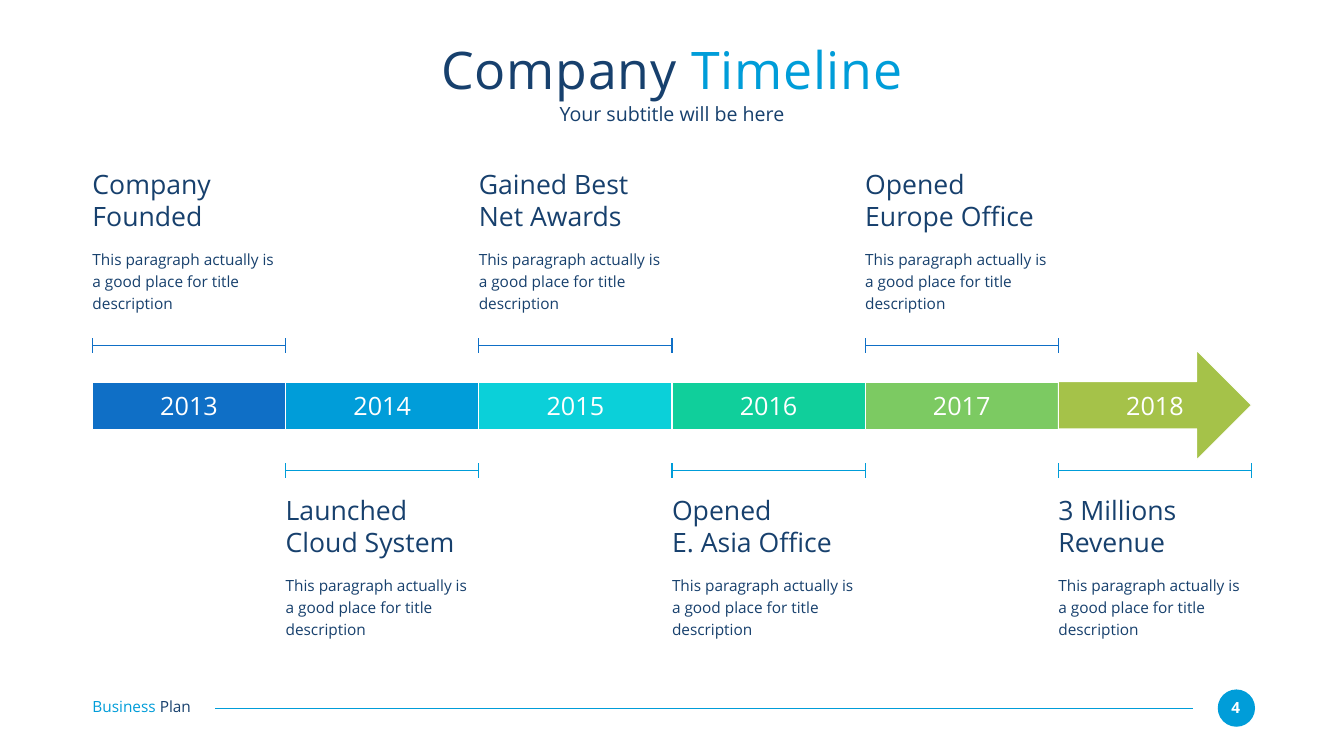
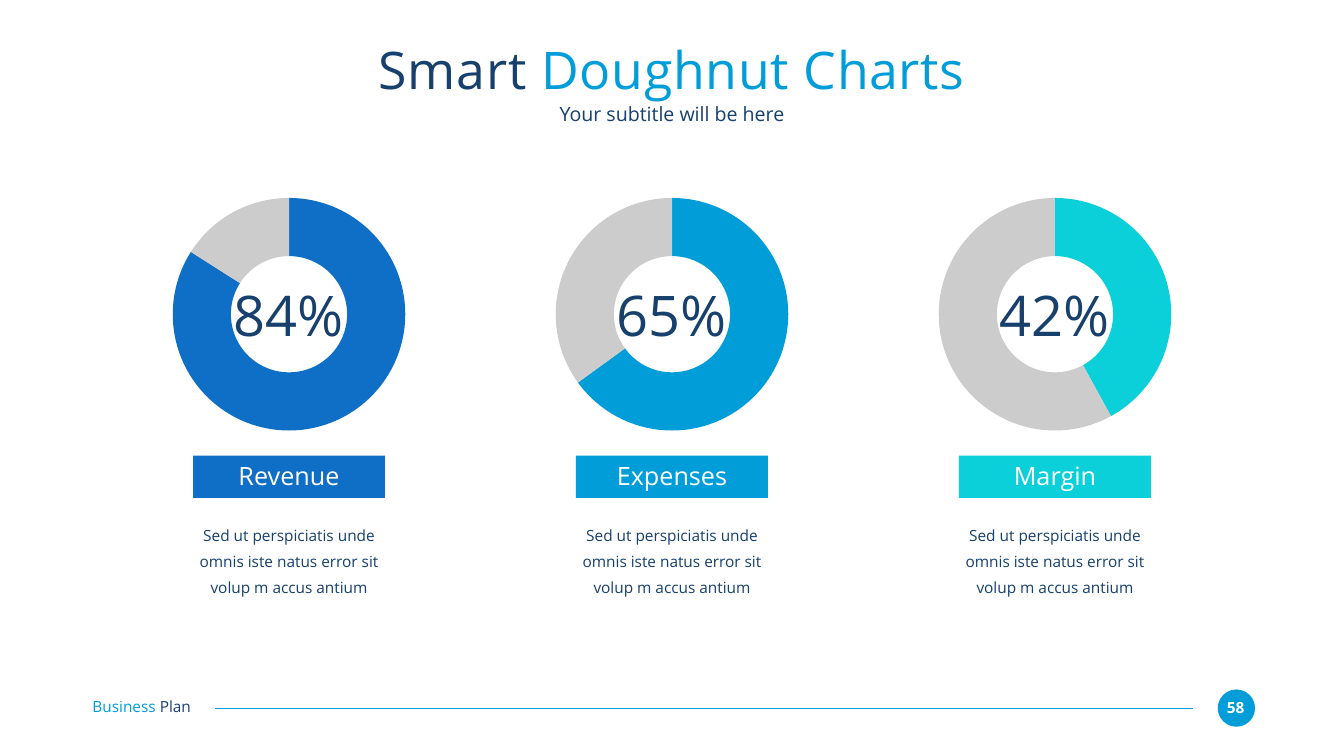
from lxml import etree
from pptx import Presentation
from pptx import util as u
from pptx.chart import data as chart_data
from pptx.dml.color import RGBColor
from pptx.enum import chart as charts, shapes, text
from pptx.oxml import ns

# Shared look
NAVY = RGBColor(0x17, 0x40, 0x6D)
BLUE = RGBColor(0x0F, 0x6F, 0xC6)
SKY = RGBColor(0x00, 0x9D, 0xD9)
CYAN = RGBColor(0x0B, 0xD0, 0xD9)
GREEN = RGBColor(0x10, 0xCF, 0x9B)
LEAF = RGBColor(0x7C, 0xCA, 0x62)
OLIVE = RGBColor(0xA5, 0xC2, 0x49)
GREY = RGBColor(0xCC, 0xCC, 0xCC)
WHITE = RGBColor(0xFF, 0xFF, 0xFF)
FONT = "Open Sans"
LEFT, CENTER = text.PP_ALIGN.LEFT, text.PP_ALIGN.CENTER

# Slide grid, in inches
W, H = 26.67, 15
CONTENT_W = 23
MARGIN = (W - CONTENT_W) / 2
RULE_WIDTH = 1.5


def inches(*values):
    return [u.Inches(v) for v in values]


def add_run(p, words, size, color, bold=False):
    r = p.add_run()
    r.text = words
    r.font.name = FONT
    r.font.size = u.Pt(size)
    r.font.bold = bold
    r.font.color.rgb = color
    return r


def clear_frame(tf):
    tf.margin_left = tf.margin_top = tf.margin_right = tf.margin_bottom = 0
    tf.word_wrap = True


def add_text(s, box, lines, size, color=NAVY, align=LEFT, bold=False,
             spacing=None):
    """Each line is a string or a list of (words, color) pairs."""
    tf = s.shapes.add_textbox(*inches(*box)).text_frame
    clear_frame(tf)
    tf.auto_size = text.MSO_AUTO_SIZE.SHAPE_TO_FIT_TEXT
    for i, line in enumerate(lines):
        p = tf.add_paragraph() if i else tf.paragraphs[0]
        p.alignment = align
        if spacing:
            p.line_spacing = spacing
        pairs = [(line, color)] if isinstance(line, str) else line
        for words, run_color in pairs:
            add_run(p, words, size, run_color, bold)


def add_block(s, kind, box, fill, outline=None):
    sp = s.shapes.add_shape(kind, *inches(*box))
    sp.shadow.inherit = False
    sp.fill.solid()
    sp.fill.fore_color.rgb = fill
    if outline is None:
        sp.line.fill.background()
    else:
        sp.line.color.rgb = outline
        sp.line.width = u.Pt(RULE_WIDTH)
    return sp


def add_rule(parent, x1, y1, x2, y2, color):
    line = parent.shapes.add_connector(
        shapes.MSO_CONNECTOR.STRAIGHT, *inches(x1, y1, x2, y2))
    line.line.color.rgb = color
    line.line.width = u.Pt(RULE_WIDTH)
    etree.SubElement(line._element.spPr, ns.qn("a:effectLst"))


def add_header(s, box, dark_words, bright_words):
    x, y, w, h = box
    title = s.shapes.title
    title.left, title.top, title.width, title.height = inches(x, y, w, h)
    tf = title.text_frame
    clear_frame(tf)
    tf.auto_size = text.MSO_AUTO_SIZE.NONE
    tf.vertical_anchor = text.MSO_ANCHOR.MIDDLE
    p = tf.paragraphs[0]
    p.alignment = CENTER
    for words, color in ((dark_words, NAVY), (bright_words, SKY)):
        r = add_run(p, words, 74, color)
        r.font._element.set("spc", "100")
    add_text(s, (x, y + 1.3, w, 0.49), ["Your subtitle will be here"], 28,
             align=CENTER)


def add_footer(s, box, number):
    x, y, w, h = box
    middle = y + h / 2
    badge = x + w - h
    add_block(s, shapes.MSO_SHAPE.OVAL, (badge, y, h, h), SKY)
    add_text(s, (badge + 0.06, y + 0.17, 0.59, 0.37), [str(number)], 22,
             WHITE, CENTER, bold=True)
    add_rule(s, badge - 0.5, middle, x + 2.43, middle, SKY)
    add_text(s, (x, y + 0.16, 2.4, 0.37),
             [[("Business ", SKY), ("Plan", NAVY)]], 22)


def add_page(prs, dark_words, bright_words, number):
    s = prs.slides.add_slide(prs.slide_layouts[5])
    add_header(s, (MARGIN, 0.73, CONTENT_W, 1.27), dark_words, bright_words)
    add_footer(s, (MARGIN, 13.68, CONTENT_W + 0.07, 0.74), number)
    return s


# Timeline slide
def add_year(s, box, year, color, last):
    x, y, w, h = box
    if last:
        head = 2.18
        sp = add_block(s, shapes.MSO_SHAPE.RIGHT_ARROW,
                       (x, y + (h - head) / 2 - 0.01, w, head), color, WHITE)
        sp.adjustments[0], sp.adjustments[1] = 0.43, 0.5
    else:
        add_block(s, shapes.MSO_SHAPE.RECTANGLE, box, color, WHITE)
    label_w = 1.79
    add_text(s, (x + (w - label_w) / 2, y + 0.16, label_w, 0.61), [year], 36,
             WHITE, CENTER)


def add_bracket(s, x, y, w, color):
    group = s.shapes.add_group_shape()
    tick = 0.145
    add_rule(group, x, y, x + w, y, color)
    for end in (x, x + w):
        add_rule(group, end, y - tick, end, y + tick, color)


def add_milestone(s, box, heading):
    x, y, w, _ = box
    add_text(s, (x, y, w, 1.28), heading, 38)
    add_text(s, (x, y + 1.55, w, 1.33),
             ["This paragraph actually is a good place for title description"],
             22, spacing=1.2)


def timeline_slide(prs):
    s = add_page(prs, "Company ", "Timeline", 4)
    milestones = [
        ("2013", BLUE, ["Company Founded"]),
        ("2014", SKY, ["Launched Cloud System"]),
        ("2015", CYAN, ["Gained Best", "Net Awards"]),
        ("2016", GREEN, ["Opened", "E. Asia Office"]),
        ("2017", LEAF, ["Opened", "Europe Office"]),
        ("2018", OLIVE, ["3 Millions", "Revenue"]),
    ]
    col = CONTENT_W / len(milestones)
    for i, (year, color, heading) in enumerate(milestones):
        x = MARGIN + i * col
        add_year(s, (x, 7.58, col, 0.94), year, color,
                 i == len(milestones) - 1)
        # Milestones alternate above and below the band
        above = i % 2 == 0
        add_bracket(s, x, 6.86 if above else 9.34, col, BLUE if above else SKY)
        add_milestone(s, (x, 3.34 if above else 9.8, col, 2.88), heading)


# Doughnut slide
def add_doughnut(s, box, percent, color):
    values = chart_data.CategoryChartData()
    values.categories = ["1", "2"]
    values.add_series("Series 1", (percent, 100 - percent))
    chart = s.shapes.add_chart(charts.XL_CHART_TYPE.DOUGHNUT, *inches(*box),
                               values).chart
    chart.has_legend = chart.has_title = False
    chart.font.name = "Calibri"
    chart.font.size = u.Pt(10)
    plot = chart.plots[0]
    plot.has_data_labels = False
    plot.vary_by_categories = True
    plot._element.find(ns.qn("c:holeSize")).set("val", "88")
    for i, fill in enumerate((color, GREY)):
        point = plot.series[0].points[i].format
        point.fill.solid()
        point.fill.fore_color.rgb = fill
        point.line.fill.background()


def add_measure(s, box, name, percent, color):
    x, y, w, _ = box

    def centred(width, top, height):
        return x + (w - width) / 2, y + top, width, height

    add_doughnut(s, centred(w, 0, 5.23), percent, color)
    add_block(s, shapes.MSO_SHAPE.RECTANGLE, centred(3.81, 5.42, 0.84), color)
    add_text(s, centred(3.1, 5.51, 0.61), [name], 36, WHITE, CENTER)
    add_text(s, centred(4.31, 6.67, 1.56),
             ["Sed ut perspiciatis unde omnis iste natus error sit "
              "volup m accus antium"], 22, align=CENTER, spacing=1.4)
    add_text(s, centred(2.38, 1.94, 1.35), [f"{percent}%"], 80, align=CENTER)


def doughnut_slide(prs):
    s = add_page(prs, "Smart ", "Doughnut Charts", 58)
    measures = [("Revenue", 84, BLUE), ("Expenses", 65, SKY),
                ("Margin", 42, CYAN)]
    pitch, w = 7.6, 4.89
    for i, (name, percent, color) in enumerate(measures):
        x = W / 2 + (i - 1) * pitch - w / 2
        add_measure(s, (x, 3.62, w, 8.23), name, percent, color)


def main():
    prs = Presentation()
    prs.slide_width, prs.slide_height = inches(W, H)
    timeline_slide(prs)
    doughnut_slide(prs)
    prs.save("out.pptx")


if __name__ == "__main__":
    main()
